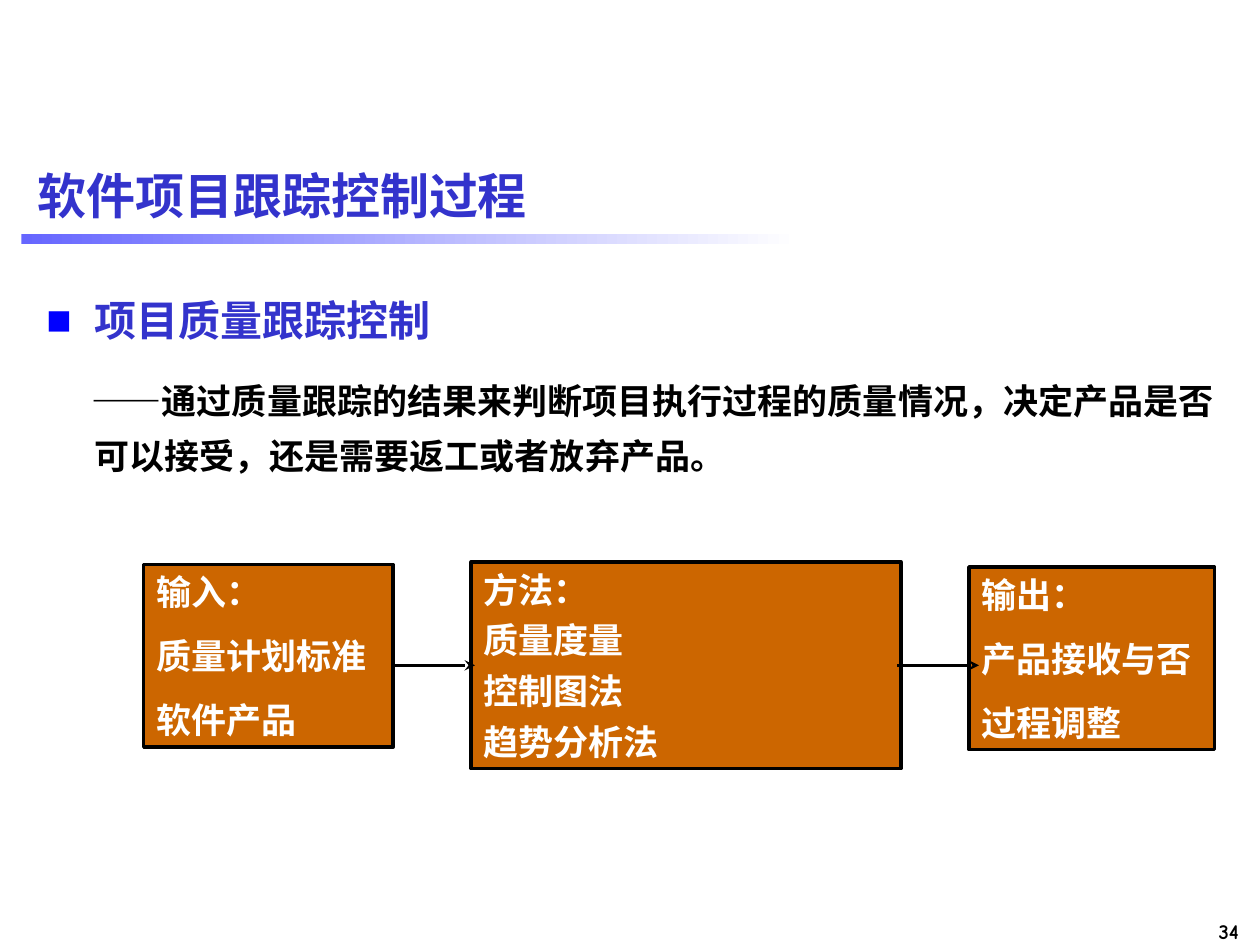
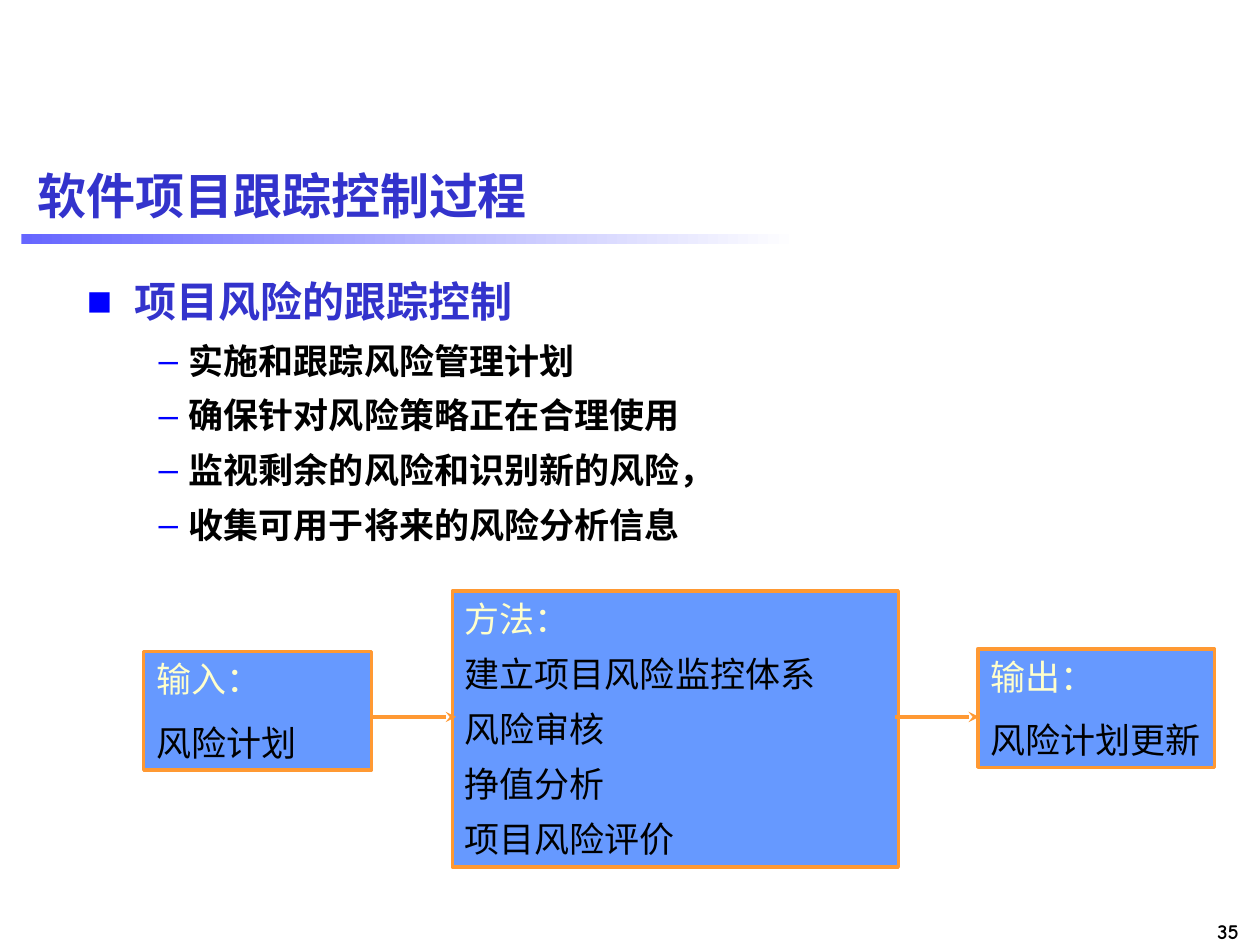
import pptx
import pptx.dml.color
import pptx.enum.dml
import pptx.enum.shapes
import pptx.enum.text
import pptx.oxml
import pptx.oxml.ns
import pptx.util

Pt = pptx.util.Pt
CJK = "Noto Sans CJK SC"
COLORS = {
    "heading": "3333CC", "bullet": "0000FF", "band": "6666FF",
    "black": "000000", "white": "FFFFFF", "orange": "CC6600",
    "blue": "6699FF", "amber": "FF9933", "cream": "FFFFCC",
}
TITLE = "软件项目跟踪控制过程"
ARROW_OVERLAP = 0.3
QUALITY = {"fill": "orange", "line": "black", "head": "white",
           "item": "white", "font": CJK, "bold": True}
RISK = {"fill": "blue", "line": "amber", "head": "cream",
        "item": "black", "font": "Arial Narrow", "bold": False}


def grid(n):
    """Length of n cells on the 100 by 75 slide grid."""
    return pptx.util.Inches(n / 10)


def rgb(name):
    return pptx.dml.color.RGBColor.from_string(COLORS[name])


def add_xml(parent, tag, **attrs):
    el = pptx.oxml.parse_xml(f"<a:{tag} {pptx.oxml.ns.nsdecls('a')}/>")
    for key, value in attrs.items():
        el.set(key, value)
    parent.append(el)
    return el


def add_run(p, text, size, color, font="Arial", bold=True):
    r = p.add_run()
    r.text = text
    r.font.size, r.font.bold, r.font.name = Pt(size), bold, font
    r.font.color.rgb = rgb(color)
    add_xml(r._r.get_or_add_rPr(), "ea", typeface=CJK)


def next_paragraph(tf, before=0, spacing=None):
    """The frame's empty first paragraph, or a new one with space before."""
    if not tf.paragraphs[0].runs:
        p = tf.paragraphs[0]
    else:
        p = tf.add_paragraph()
        p.space_before = Pt(before)
    p.alignment = pptx.enum.text.PP_ALIGN.LEFT
    if spacing:
        p.line_spacing = spacing
    return p


def indent(p, left, first, bullet=None):
    pPr = p._p.get_or_add_pPr()
    pPr.set("marL", str(grid(left)))
    pPr.set("indent", str(grid(first)))
    if bullet:
        add_xml(add_xml(pPr, "buClr"), "srgbClr", val=COLORS["bullet"])
        add_xml(pPr, "buFont", typeface="Arial")
        add_xml(pPr, "buChar", char=bullet)


def add_text(slide, *at):
    tf = slide.shapes.add_textbox(*map(grid, at)).text_frame
    tf.word_wrap = True
    return tf


def add_frame(slide, number):
    """Title, fading band and page number shared by all slides."""
    sp = slide.shapes.add_shape(pptx.enum.shapes.MSO_SHAPE.RECTANGLE,
                                *map(grid, (1.7, 18.6, 61.7, 0.8)))
    sp.shadow.inherit = False
    sp.line.fill.background()
    sp.fill.gradient()
    sp.fill.gradient_angle = 0
    for stop, color in zip(sp.fill.gradient_stops, ("band", "white")):
        stop.color.rgb = rgb(color)

    tf = add_text(slide, 2, 11.5, 96.1, 7.9)
    tf.vertical_anchor = pptx.enum.text.MSO_ANCHOR.MIDDLE
    add_run(next_paragraph(tf), TITLE, 28, "heading")

    p = next_paragraph(add_text(slide, 90.1, 72.4, 9.2, 3))
    p.alignment = pptx.enum.text.PP_ALIGN.RIGHT
    add_run(p, str(number), 12, "black", "Comic Neue")


def add_heading(tf, text, spacing):
    p = next_paragraph(tf, spacing=spacing)
    indent(p, 3.8, -3.8, "■")
    add_run(p, text, 24, "heading")


def add_box(slide, style, at, before, lines):
    sp = slide.shapes.add_shape(pptx.enum.shapes.MSO_SHAPE.RECTANGLE,
                                *map(grid, at))
    sp.shadow.inherit = False
    sp.fill.solid()
    sp.fill.fore_color.rgb = rgb(style["fill"])
    sp.line.color.rgb = rgb(style["line"])
    sp.line.width = Pt(2)
    tf = sp.text_frame
    tf.word_wrap = True
    tf.vertical_anchor = pptx.enum.text.MSO_ANCHOR.TOP
    for i, line in enumerate(lines):
        color = style["item"] if i else style["head"]
        add_run(next_paragraph(tf, before), line, 20, color,
                style["font"], style["bold"])
    return sp


def add_arrow(slide, style, start, end, y):
    c = slide.shapes.add_connector(pptx.enum.shapes.MSO_CONNECTOR.STRAIGHT,
                                   start, y, end, y)
    c.line.color.rgb = rgb(style["line"])
    c.line.width = Pt(2)
    add_xml(c.line._get_or_add_ln(), "tailEnd", type="stealth")
    add_xml(c._element.spPr, "effectLst")


def add_flow(slide, style, boxes, arrow_row):
    """Input, method and output boxes with equal arrows between them."""
    source, method, _ = [add_box(slide, style, *box) for box in boxes]
    y = grid(arrow_row)
    start = source.left + source.width
    end = method.left + grid(ARROW_OVERLAP)
    add_arrow(slide, style, start, end, y)
    shift = method.left + method.width - grid(ARROW_OVERLAP) - start
    add_arrow(slide, style, start + shift, end + shift, y)


def quality_slide(slide):
    tf = add_text(slide, 2.7, 21.7, 97.3, 53.2)
    add_heading(tf, "项目质量跟踪控制", 1.3)
    p = next_paragraph(tf, 12.5, 1.3)
    indent(p, 3.8, -0.2)
    add_run(p, "——通过质量跟踪的结果来判断项目执行过程的质量情况，"
            "决定产品是否可以接受，还是需要返工或者放弃产品。", 20, "black")
    add_flow(slide, QUALITY, [
        ((11.4, 44.8, 19.8, 14.5), 12.5, ["输入：", "质量计划标准", "软件产品"]),
        ((37.4, 44.6, 34.1, 16.4), 5,
         ["方法：", "质量度量", "控制图法", "趋势分析法"]),
        ((76.9, 45, 19.5, 14.5), 12.5, ["输出：", "产品接收与否", "过程调整"]),
    ], 52.8)


def risk_slide(slide):
    tf = add_text(slide, 5.9, 21, 94.1, 54)
    add_heading(tf, "项目风险的跟踪控制", 1.1)
    for item in ("实施和跟踪风险管理计划", "确保针对风险策略正在合理使用",
                 "监视剩余的风险和识别新的风险，", "收集可用于将来的风险分析信息"):
        p = next_paragraph(tf, 5, 1.1)
        indent(p, 8.1, -2.4, "–")
        add_run(p, item, 20, "black", CJK)
    add_flow(slide, RISK, [
        ((11.4, 51.7, 18.1, 9.4), 12.5, ["输入：", "风险计划"]),
        ((35.9, 46.9, 35.4, 21.9), 7.5,
         ["方法：", "建立项目风险监控体系", "风险审核", "挣值分析", "项目风险评价"]),
        ((77.6, 51.5, 18.8, 9.4), 12.5, ["输出：", "风险计划更新"]),
    ], 56.9)


def main():
    prs = pptx.Presentation()
    prs.slide_width, prs.slide_height = grid(100), grid(75)
    for number, fill_slide in enumerate((quality_slide, risk_slide), 34):
        slide = prs.slides.add_slide(prs.slide_layouts[6])
        add_frame(slide, number)
        fill_slide(slide)
    prs.save("out.pptx")


if __name__ == "__main__":
    main()
